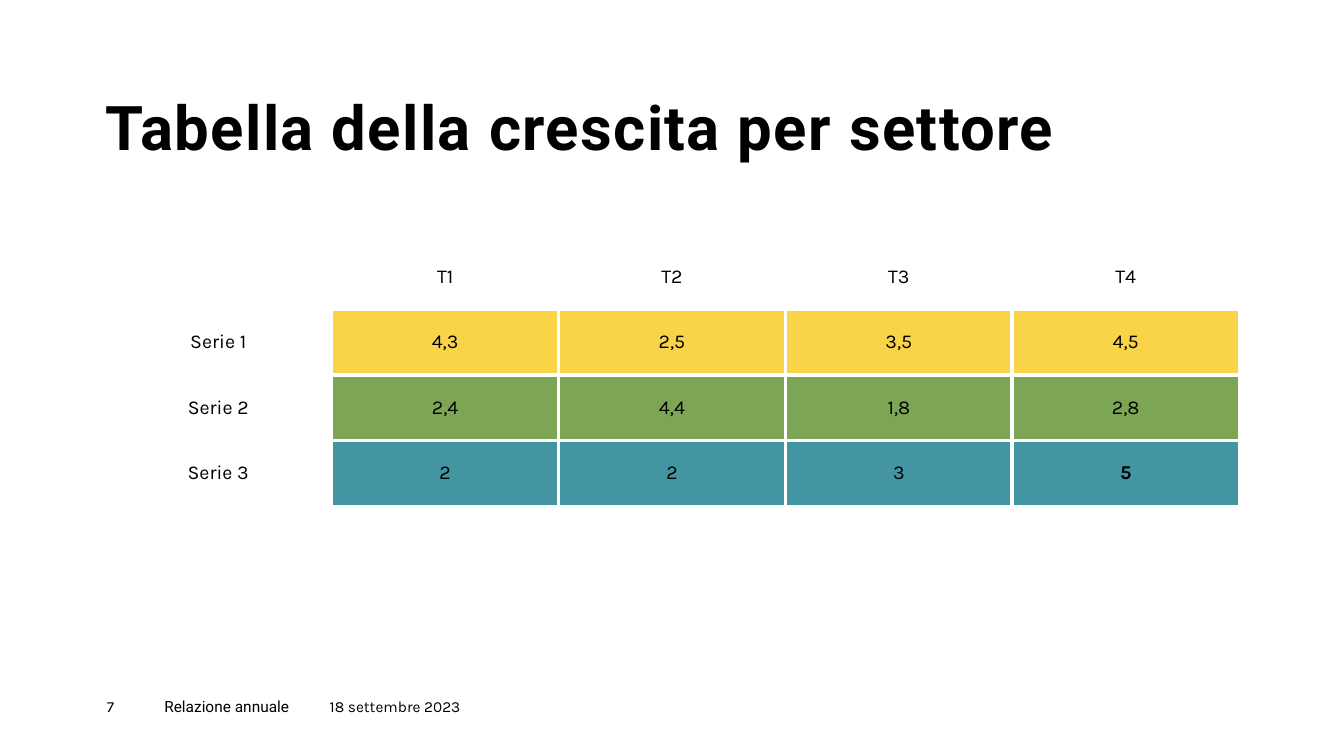
from dataclasses import dataclass

from lxml.etree import SubElement
from pptx import Presentation
from pptx.dml.color import RGBColor
from pptx.enum.text import MSO_ANCHOR, MSO_AUTO_SIZE, PP_ALIGN
from pptx.oxml.ns import qn
from pptx.util import Inches, Pt


@dataclass(frozen=True)
class Theme:
    ink: str = "000000"
    paper: str = "FFFFFF"
    series: tuple = ("F9D448", "7CA655", "4495A2")
    heading_font: str = "Roboto"
    body_font: str = "Karla"
    title_size: int = 44
    table_size: int = 14
    footer_size: int = 11


theme = Theme()


def format_text(frame, font_name, size, bold=False):
    for para in frame.paragraphs:
        for span in para.runs:
            span.font.name = font_name
            span.font.size = Pt(size)
            span.font.bold = bold
            span.font.color.rgb = RGBColor.from_string(theme.ink)


def set_borders(cell, widths):
    """Draw the left, right, top and bottom borders with widths in points."""
    properties = cell._tc.get_or_add_tcPr()
    for side, width in zip("LRTB", widths):
        line = SubElement(properties, qn(f"a:ln{side}"), w=str(Pt(width)))
        fill = SubElement(line, qn("a:solidFill"))
        SubElement(fill, qn("a:srgbClr"), val=theme.paper)


deck = Presentation()
deck.slide_width = Inches(13.33)
deck.slide_height = Inches(7.5)
page = deck.slides.add_slide(deck.slide_layouts[5])
page.background.fill.solid()
page.background.fill.fore_color.rgb = RGBColor.from_string(theme.paper)

# Title
title = page.shapes.title
title.left, title.top = Inches(1.05), Inches(0.96)
title.width, title.height = Inches(10.01), Inches(0.67)
frame = title.text_frame
frame.text = "Tabella della crescita per settore"
frame.margin_left = frame.margin_right = frame.margin_top = frame.margin_bottom = 0
frame.vertical_anchor = MSO_ANCHOR.BOTTOM
frame.auto_size = MSO_AUTO_SIZE.NONE
frame.word_wrap = True
frame.paragraphs[0].alignment = PP_ALIGN.LEFT
frame.paragraphs[0].line_spacing = 0.9
format_text(frame, theme.heading_font, theme.title_size, bold=True)
frame.paragraphs[0].runs[0].font._element.set("spc", "100")

# Growth table
growth = [
    ["", "T1", "T2", "T3", "T4"],
    ["Serie 1", "4,3", "2,5", "3,5", "4,5"],
    ["Serie 2", "2,4", "4,4", "1,8", "2,8"],
    ["Serie 3", "2", "2", "3", "5"],
]
last_row, last_column = len(growth) - 1, len(growth[0]) - 1
table = page.shapes.add_table(
    len(growth), len(growth[0]), Inches(1.04), Inches(2.42), Inches(11.25), Inches(2.6)
).table
table.first_row = table.horz_banding = False
for column in table.columns:
    column.width = Inches(2.25)

for row, values in enumerate(growth):
    table.rows[row].height = Inches(0.65)
    for column, value in enumerate(values):
        cell = table.cell(row, column)
        cell.text = value
        cell.vertical_anchor = MSO_ANCHOR.MIDDLE
        cell.text_frame.paragraphs[0].alignment = PP_ALIGN.CENTER
        is_last = (row, column) == (last_row, last_column)
        format_text(cell.text_frame, theme.body_font, theme.table_size, bold=is_last)
        if row == 0:
            set_borders(cell, (1, 1, 1, 2.25))
        elif column == 0:
            set_borders(cell, (2.25,) * 4)
        else:
            outer_edges = (column == 1, column == last_column, row == 1, row == last_row)
            set_borders(cell, [2.25 if outer else 3 for outer in outer_edges])
        if row and column:
            cell.fill.solid()
            cell.fill.fore_color.rgb = RGBColor.from_string(theme.series[row - 1])
        else:
            cell.fill.background()

# Footer
footer = [
    ("7", 1.06, 0.57, theme.body_font),
    ("Relazione annuale", 1.63, 1.64, theme.heading_font),
    ("18 settembre 2023", 3.27, 1.44, theme.body_font),
]
for text, left, width, font_name in footer:
    box = page.shapes.add_textbox(Inches(left), Inches(6.92), Inches(width), Inches(0.27))
    frame = box.text_frame
    frame.text = text
    frame.word_wrap = True
    frame.margin_left = frame.margin_right = frame.margin_top = frame.margin_bottom = 0
    format_text(frame, font_name, theme.footer_size)

deck.save("out.pptx")
